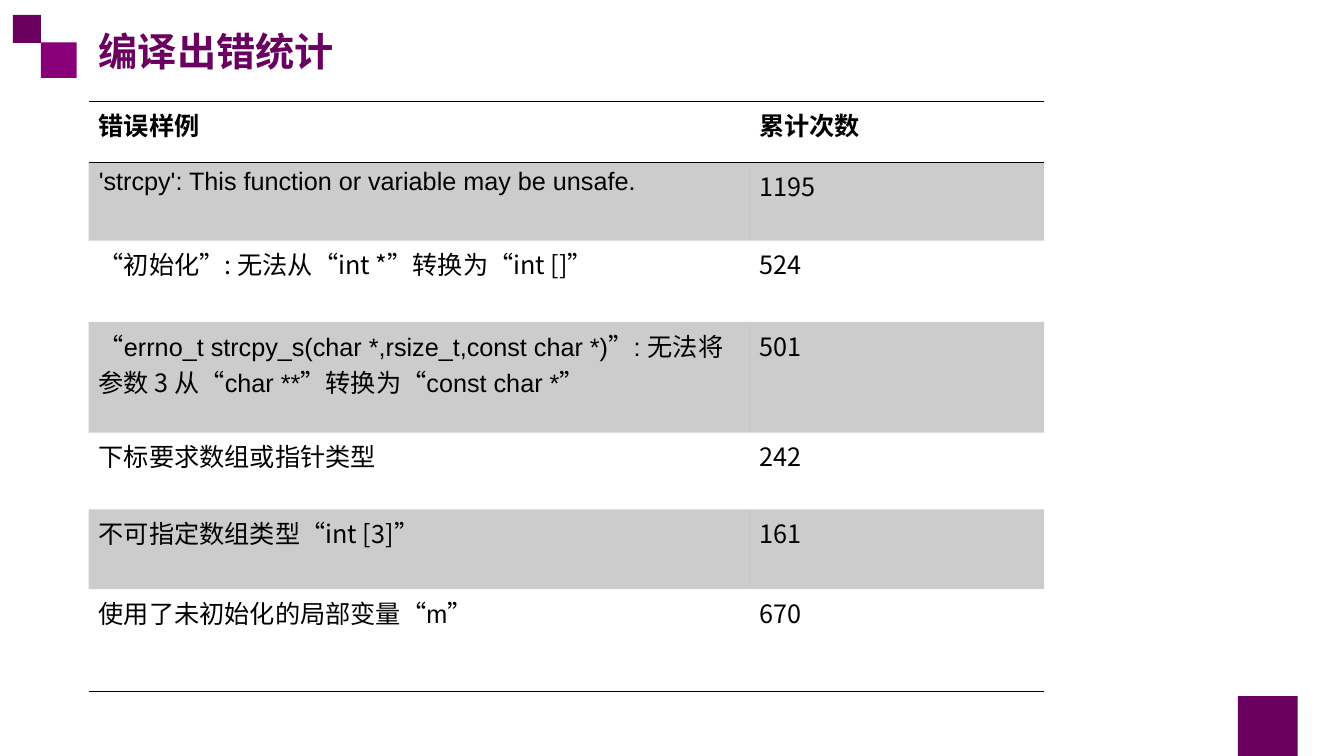
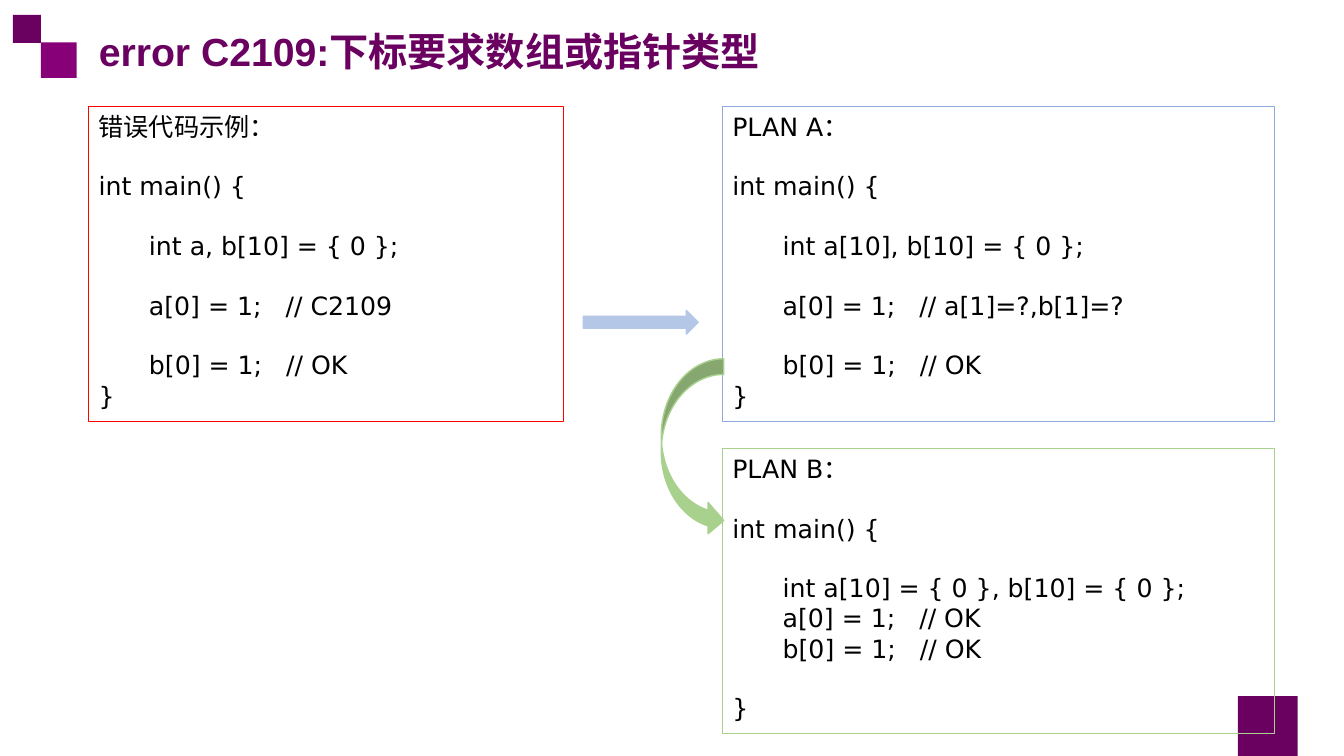
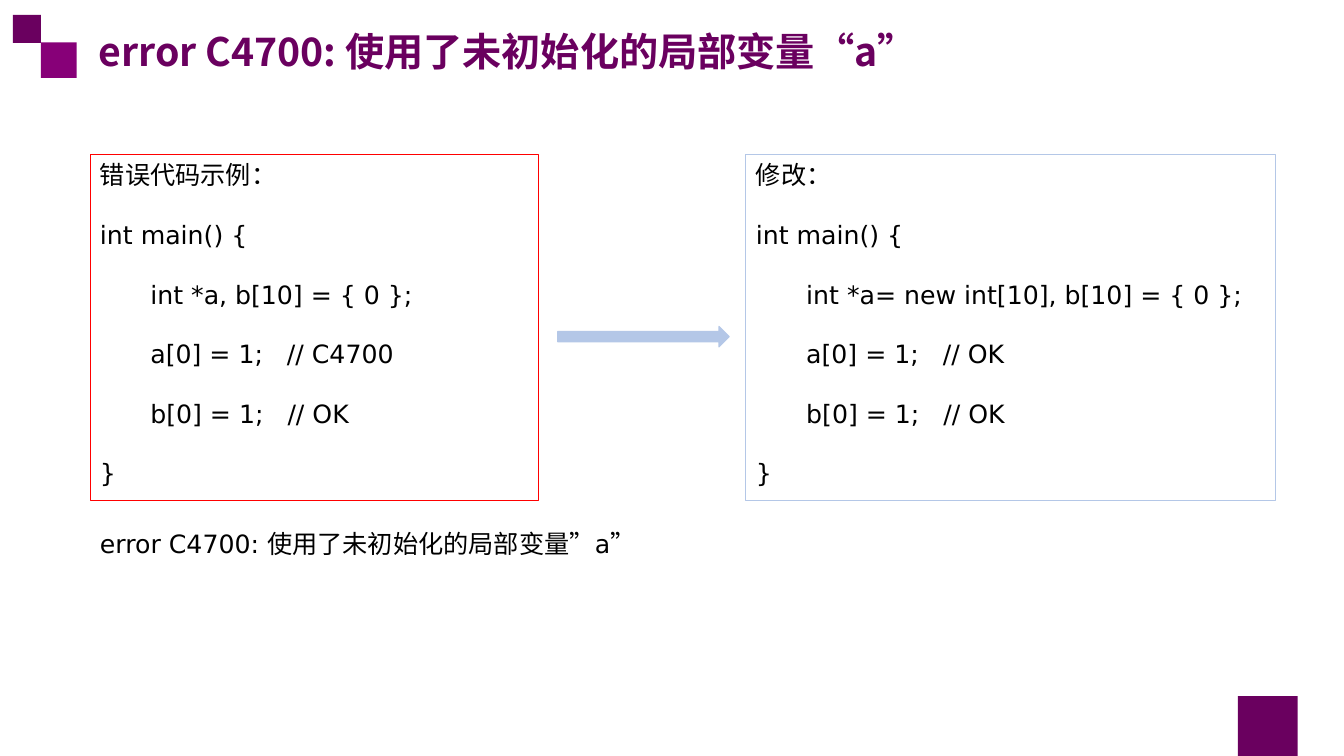
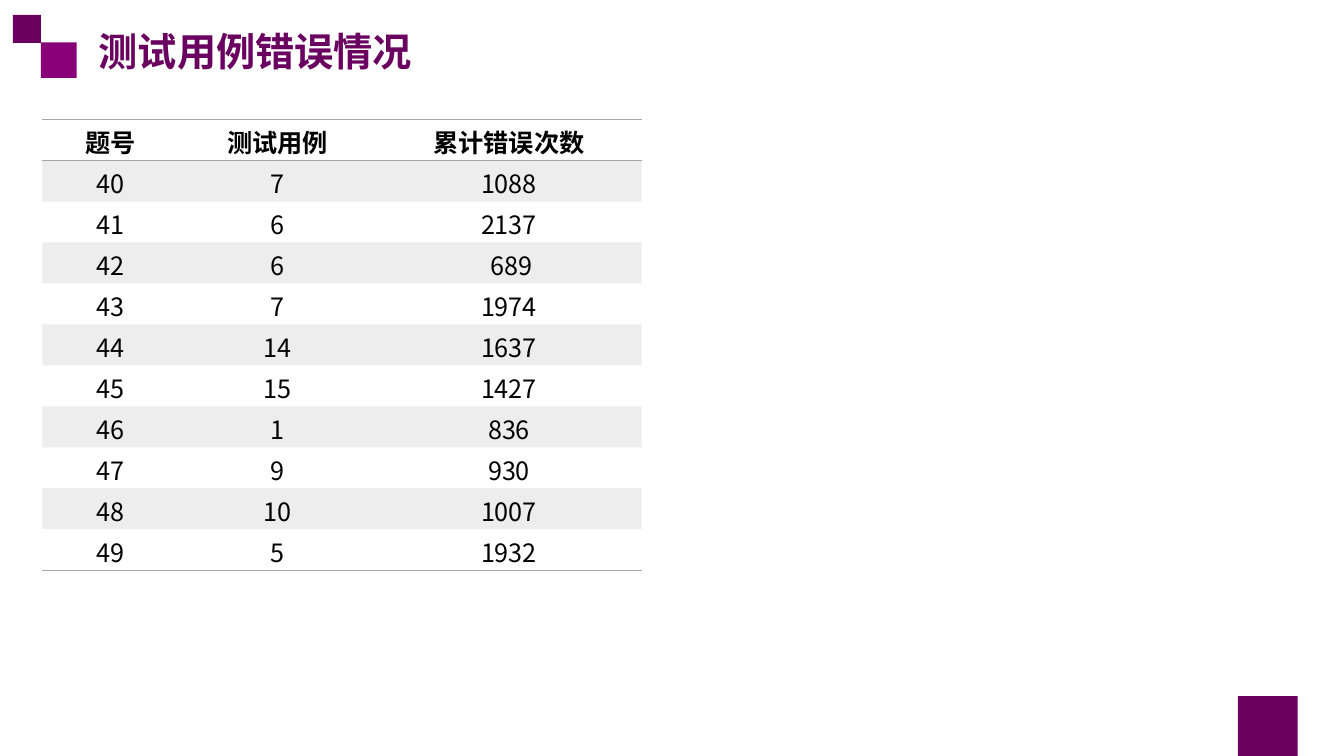
from lxml import etree
from pptx import Presentation
from pptx.dml.color import RGBColor
from pptx.enum.lang import MSO_LANGUAGE_ID
from pptx.enum.shapes import MSO_SHAPE
from pptx.enum.text import MSO_ANCHOR, PP_ALIGN
from pptx.oxml.ns import qn
from pptx.util import Pt

PX = 6096
LEFT, CENTER = PP_ALIGN.LEFT, PP_ALIGN.CENTER
TOP, MIDDLE = MSO_ANCHOR.TOP, MSO_ANCHOR.MIDDLE
RECTANGLE = MSO_SHAPE.RECTANGLE
RIGHT_ARROW = MSO_SHAPE.RIGHT_ARROW
CURVED_ARROW = MSO_SHAPE.CURVED_RIGHT_ARROW
CHINESE = MSO_LANGUAGE_ID.SIMPLIFIED_CHINESE

PURPLE = RGBColor(0x6A, 0x00, 0x5F)
BRIGHT_PURPLE = RGBColor(0x87, 0x00, 0x78)
BLACK = RGBColor(0x00, 0x00, 0x00)
GRAY = RGBColor(0xA5, 0xA5, 0xA5)
RED = RGBColor(0xFF, 0x00, 0x00)
BLUE = RGBColor(0x8F, 0xAA, 0xDC)
PALE_BLUE = RGBColor(0xB4, 0xC7, 0xE7)
GREEN = RGBColor(0xA9, 0xD1, 0x8E)

SANS, ARIAL, CODE, SERIF = "Noto Sans CJK SC", "Arial", "DejaVu Sans", "Times New Roman"
BODY_SIZE, TITLE_SIZE = 18, 28
CODE_LINE = 21
INDENT = 75
BAND_ALPHA = "20000"
NO_GRID_STYLE = "{2D5ABB26-0587-4C30-8999-92F81FD0307C}"

ERROR_ROWS = [
    ("错误样例", "累计次数"),
    ([("'strcpy': This function or variable may be unsafe.", ARIAL)], "1195"),
    ("“初始化”: 无法从“int *”转换为“int []”", "524"),
    ([("“errno_t strcpy_s(char *,rsize_t,const char *)”: ", ARIAL),
      ("无法将参数 3 从", SANS), ("“char **”", ARIAL),
      ("转换为", SANS), ("“const char *”", ARIAL)], "501"),
    ("下标要求数组或指针类型", "242"),
    ("不可指定数组类型“int [3]”", "161"),
    ([("使用了未初始化的局部变量", SANS), ("“m”", ARIAL)], "670"),
]

TEST_ROWS = [
    ("题号", "测试用例", "累计错误次数"),
    ("40", "7", "1088"),
    ("41", "6", "2137"),
    ("42", "6", " 689"),
    ("43", "7", "1974"),
    ("44", "14", "1637"),
    ("45", "15", "1427"),
    ("46", "1", "836"),
    ("47", "9", "930"),
    ("48", "10", "1007"),
    ("49", "5", "1932"),
]

SUBSCRIPT_ERROR = """错误代码示例：

int main() {

    int a, b[10] = { 0 };

    a[0] = 1;   // C2109

    b[0] = 1;   // OK
}"""

PLAN_A = """PLAN A：

int main() {

    int a[10], b[10] = { 0 };

    a[0] = 1;   // a[1]=?,b[1]=?

    b[0] = 1;   // OK
}"""

PLAN_B = """PLAN B：

int main() {

    int a[10] = { 0 }, b[10] = { 0 };
    a[0] = 1;   // OK
    b[0] = 1;   // OK

}"""

UNINITIALIZED_ERROR = """错误代码示例：

int main() {

    int *a, b[10] = { 0 };

    a[0] = 1;   // C4700

    b[0] = 1;   // OK

}"""

UNINITIALIZED_FIX = """修改：

int main() {

    int *a= new int[10], b[10] = { 0 };

    a[0] = 1;   // OK

    b[0] = 1;   // OK

}"""


def scaled(*lengths):
    return [length * PX for length in lengths]


def add_run(paragraph, text, font=SANS, east_asian=SANS, size=BODY_SIZE,
            color=BLACK, bold=False):
    run = paragraph.add_run()
    run.text = text
    run.font.size = Pt(size)
    run.font.bold = bold
    run.font.color.rgb = color
    run.font.name = font
    run.font.language_id = CHINESE
    properties = run.font._element
    etree.SubElement(properties, qn("a:ea"), typeface=east_asian)


def add_shape(slide, kind, box, fill=None, line=None, line_width=1):
    shape = slide.shapes.add_shape(kind, *scaled(*box))
    shape.shadow.inherit = False
    if fill is None:
        shape.fill.background()
    else:
        shape.fill.solid()
        shape.fill.fore_color.rgb = fill
    if line is None:
        shape.line.fill.background()
    else:
        shape.line.color.rgb = line
        shape.line.width = Pt(line_width)
    return shape


def add_slide(presentation, title, font=SANS):
    slide = presentation.slides.add_slide(presentation.slide_layouts[5])
    placeholder = slide.shapes.title
    placeholder.left, placeholder.top, placeholder.width, placeholder.height = scaled(
        132, 33, 1767, 86)
    placeholder.text_frame.vertical_anchor = MIDDLE
    paragraph = placeholder.text_frame.paragraphs[0]
    paragraph.alignment = LEFT
    add_run(paragraph, title, font, size=TITLE_SIZE, color=PURPLE, bold=True)
    return slide


def move_squares_to_layout(slide):
    layout = slide.slide_layout
    for placeholder in list(layout.placeholders):
        if placeholder.placeholder_format.idx != 0:
            layout.shapes.element.remove(placeholder.element)
    squares = [((61, 63, 53, 53), BRIGHT_PURPLE),
               ((19, 22, 42, 42), PURPLE),
               ((1842, 1036, 89, 89), PURPLE)]
    for box, color in squares:
        square = add_shape(slide, RECTANGLE, box, fill=color)
        layout.shapes.element.append(square.element)


def add_code_box(slide, box, line, code):
    shape = add_shape(slide, RECTANGLE, box, line=line, line_width=0.75)
    frame = shape.text_frame
    frame.word_wrap = True
    frame.vertical_anchor = TOP
    paragraph = frame.paragraphs[0]
    gap = 0
    for index, text in enumerate(code.splitlines()):
        if not text:
            gap += CODE_LINE
            continue
        if index:
            paragraph = frame.add_paragraph()
        paragraph.alignment = LEFT
        if gap:
            paragraph.space_before = Pt(gap)
            gap = 0
        if text.startswith(" "):
            paragraph.level = 1
            properties = paragraph._p.get_or_add_pPr()
            properties.set("marL", str(INDENT * PX))
            properties.set("indent", "0")
        add_run(paragraph, text.strip(), CODE, CODE)


def add_caption(slide, box, text):
    frame = slide.shapes.add_textbox(*scaled(*box)).text_frame
    frame.word_wrap = True
    add_run(frame.paragraphs[0], text, CODE)


def add_border(cell, side, color):
    border = etree.Element(qn("a:" + side), w=str(Pt(1)))
    fill = etree.SubElement(border, qn("a:solidFill"))
    etree.SubElement(fill, qn("a:srgbClr"), val=str(color))
    cell._tc.get_or_add_tcPr().insert(0, border)


def fill_band(cell, color):
    cell.fill.solid()
    cell.fill.fore_color.rgb = color
    for color_element in cell._tc.tcPr.iter(qn("a:srgbClr")):
        etree.SubElement(color_element, qn("a:alpha"), val=BAND_ALPHA)


def add_table(slide, left, top, widths, heights, rows, color,
              alignment=LEFT, margins=None):
    box = scaled(left, top, sum(widths), sum(heights))
    table = slide.shapes.add_table(len(rows), len(widths), *box).table
    table.first_row = table.horz_banding = False
    table._tbl.tblPr.find(qn("a:tableStyleId")).text = NO_GRID_STYLE
    for column, width in zip(table.columns, scaled(*widths)):
        column.width = width
    for row, height in zip(table.rows, scaled(*heights)):
        row.height = height
    for row_index, values in enumerate(rows):
        is_header = row_index == 0
        for column_index, value in enumerate(values):
            cell = table.cell(row_index, column_index)
            if margins:
                cell.margin_top, cell.margin_bottom = scaled(*margins)
            paragraph = cell.text_frame.paragraphs[0]
            paragraph.alignment = alignment
            runs = [(value, SANS)] if isinstance(value, str) else value
            for text, font in runs:
                add_run(paragraph, text, font, bold=is_header)
            if row_index % 2:
                fill_band(cell, color)
            else:
                cell.fill.background()
            if is_header or row_index == len(rows) - 1:
                add_border(cell, "lnB", color)
            if is_header:
                add_border(cell, "lnT", color)


def build_error_statistics(presentation):
    slide = add_slide(presentation, "编译出错统计", SERIF)
    move_squares_to_layout(slide)
    add_table(slide, 132, 151, [983, 439], [91, 116, 121, 165, 114, 119, 152],
              ERROR_ROWS, BLACK)


def build_subscript_error(presentation):
    slide = add_slide(presentation, "error C2109:下标要求数组或指针类型", ARIAL)
    add_code_box(slide, (1075, 667, 822, 425), GREEN, PLAN_B)
    add_code_box(slide, (132, 158, 707, 470), RED, SUBSCRIPT_ERROR)
    add_code_box(slide, (1075, 158, 822, 470), BLUE, PLAN_A)
    add_shape(slide, RIGHT_ARROW, (868, 462, 171, 35), PALE_BLUE, PALE_BLUE)
    add_shape(slide, CURVED_ARROW, (984, 534, 93, 264), GREEN, GREEN)


def build_uninitialized_error(presentation):
    slide = add_slide(presentation, "error C4700: 使用了未初始化的局部变量“a”")
    add_code_box(slide, (134, 230, 667, 515), RED, UNINITIALIZED_ERROR)
    add_caption(slide, (134, 779, 1226, 60), "error C4700: 使用了未初始化的局部变量”a”")
    add_code_box(slide, (1110, 230, 788, 515), PALE_BLUE, UNINITIALIZED_FIX)
    add_shape(slide, RIGHT_ARROW, (830, 486, 255, 30), PALE_BLUE, PALE_BLUE)


def build_test_errors(presentation):
    slide = add_slide(presentation, "测试用例错误情况")
    add_table(slide, 63, 178, [203, 294, 395], [61] * len(TEST_ROWS),
              TEST_ROWS, GRAY, CENTER, margins=(6, 0))


def main():
    presentation = Presentation()
    presentation.slide_width, presentation.slide_height = scaled(2000, 1125)
    build_error_statistics(presentation)
    build_subscript_error(presentation)
    build_uninitialized_error(presentation)
    build_test_errors(presentation)
    presentation.save("out.pptx")


if __name__ == "__main__":
    main()
